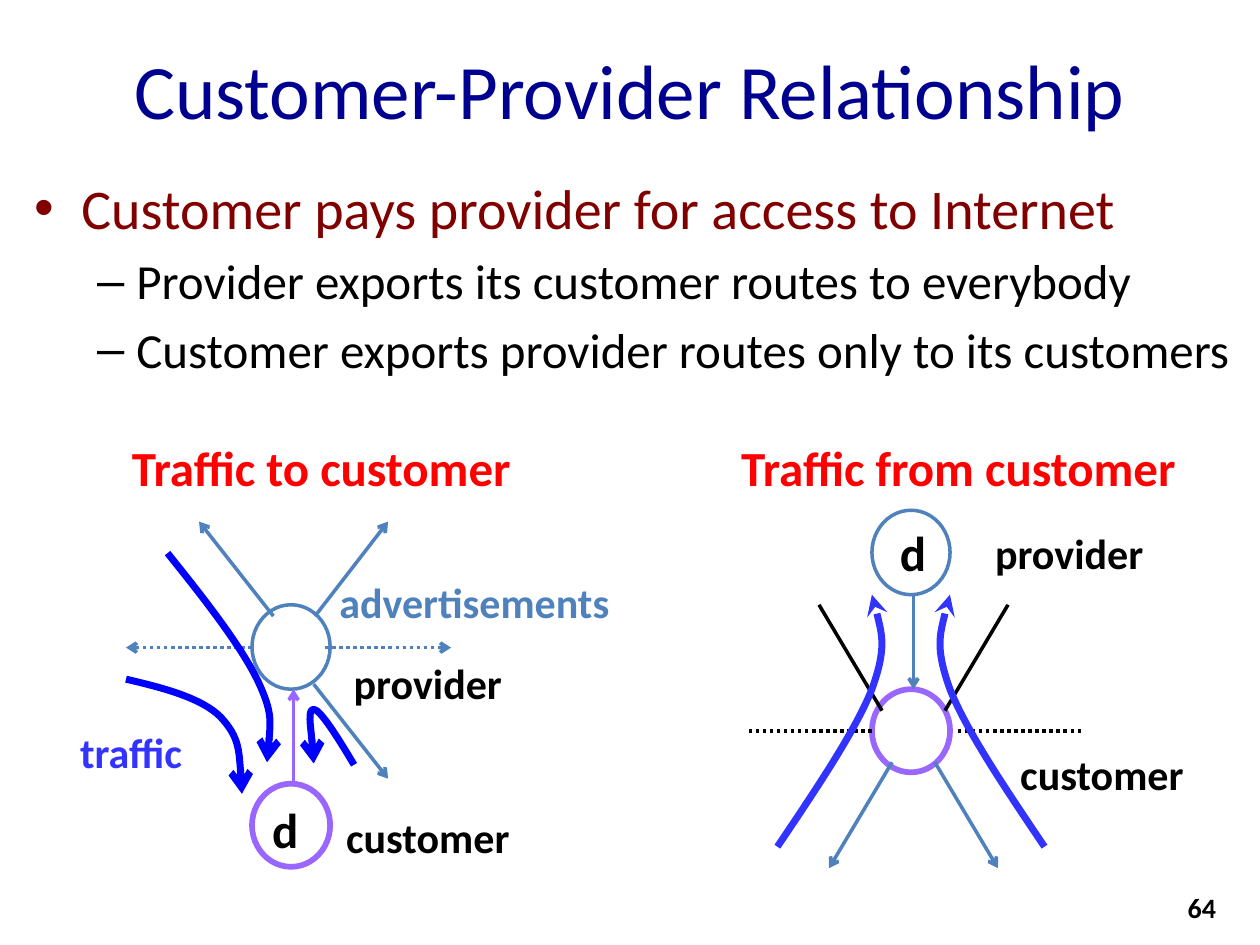
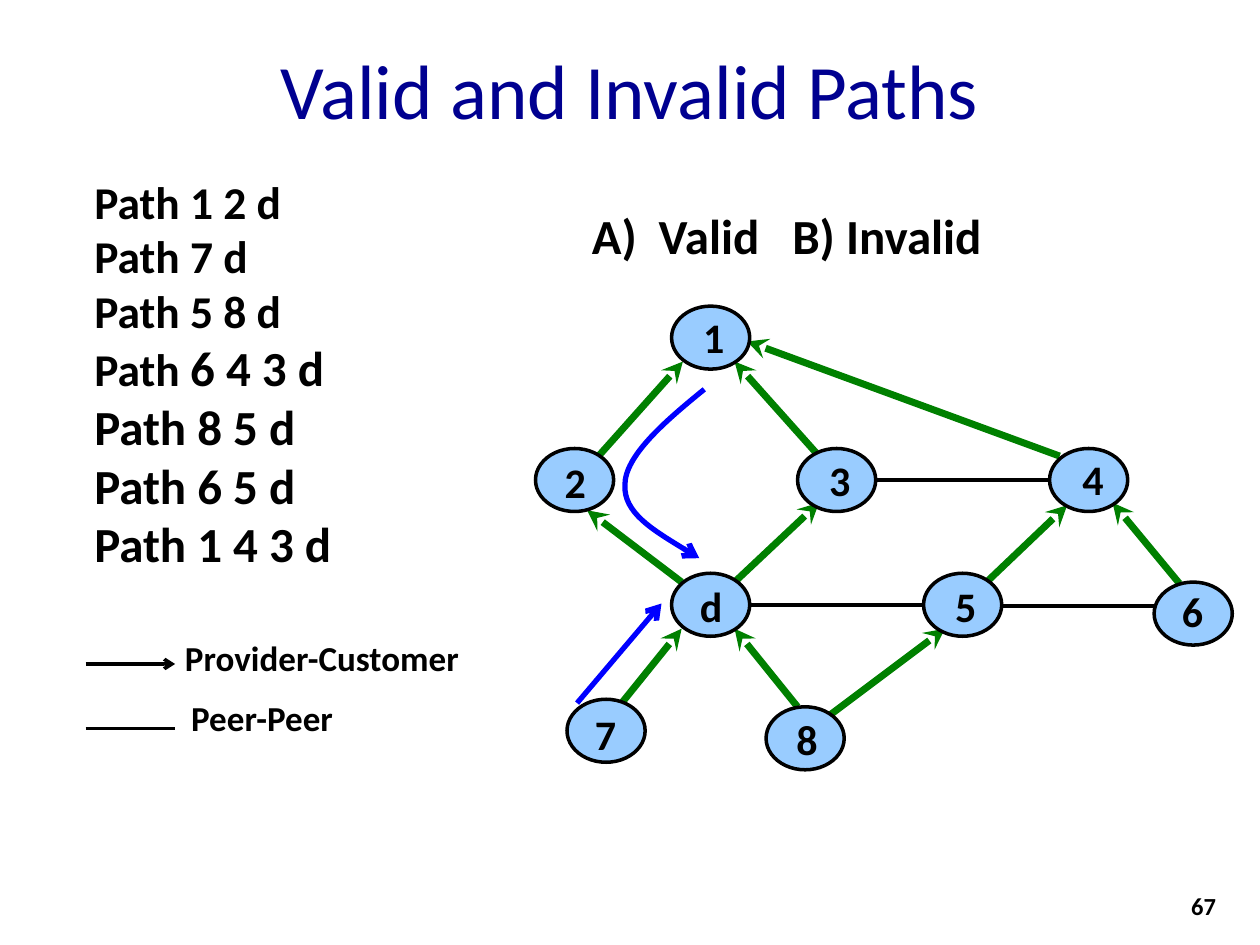
"""Build two slides on customer-provider routing and on valid paths."""
from dataclasses import dataclass

from lxml import etree
from pptx import Presentation
from pptx.dml.color import RGBColor
from pptx.enum.dml import MSO_LINE
from pptx.enum.shapes import MSO_CONNECTOR, MSO_SHAPE
from pptx.enum.text import MSO_AUTO_SIZE, PP_ALIGN
from pptx.oxml.ns import qn
from pptx.util import Pt

PX = 9144
FONT = "Calibri"
NAVY, MAROON, RED, BLACK = "000090", "800000", "FF0000", "000000"
STEEL, PURPLE, BLUE, VIOLET = "4F81BD", "9966FF", "0000FF", "3333FF"
GREEN, SKY = "008000", "99CCFF"
LEFT, CENTER, RIGHT = PP_ALIGN.LEFT, PP_ALIGN.CENTER, PP_ALIGN.RIGHT
DOT = MSO_LINE.ROUND_DOT
OVAL, STRAIGHT = MSO_SHAPE.OVAL, MSO_CONNECTOR.STRAIGHT
NO_FIT = MSO_AUTO_SIZE.NONE


@dataclass
class Link:
    x1: int
    y1: int
    x2: int
    y2: int
    color: str = BLACK
    width: float = 2
    head: str = ""
    dash: object = None


@dataclass
class Curve:
    points: list
    color: str = BLUE
    width: float = 4
    head: str = "arrow"


@dataclass
class Ring:
    x: int
    y: int
    color: str = BLACK
    width: float = 2
    height: int = 66
    fill: str = ""


@dataclass
class Label:
    text: str
    x: int
    y: int
    w: int
    h: int = 51
    size: int = 24
    color: str = BLACK


@dataclass
class Node:
    name: str
    x: int
    y: int
    label_x: int
    label_y: int


def rgb(value):
    return RGBColor.from_string(value)


def place(sp, *box):
    sp.left, sp.top, sp.width, sp.height = (v * PX for v in box)


def add_run(p, text, size, color=BLACK, bold=True):
    r = p.add_run()
    r.text = text
    r.font.name, r.font.size, r.font.bold = FONT, Pt(size), bold
    r.font.color.rgb = rgb(color)


def add_text(slide, lines, box, size=24, color=BLACK, align=CENTER, wrap=False, tabs=()):
    """Add a box of bold lines; a line is a string or a list of (text, size) runs."""
    sp = slide.shapes.add_textbox(*(v * PX for v in box))
    tf = sp.text_frame
    tf.word_wrap, tf.auto_size = wrap, NO_FIT
    for i, line in enumerate(lines):
        p = tf.add_paragraph() if i else tf.paragraphs[0]
        p.alignment = align
        if tabs:
            tab_list = etree.SubElement(p._p.get_or_add_pPr(), qn("a:tabLst"))
            for pos in tabs:
                etree.SubElement(tab_list, qn("a:tab"), pos=str(pos * PX), algn="l")
        for text, run_size in [(line, size)] if isinstance(line, str) else line:
            add_run(p, text, run_size, color)


def add_label(slide, label: Label):
    add_text(slide, [label.text], (label.x, label.y, label.w, label.h), label.size, label.color)


def style_line(sp, color, width, head="", dash=None):
    sp.line.color.rgb = rgb(color)
    sp.line.width = Pt(width)
    if dash is not None:
        sp.line.dash_style = dash
    if head:
        etree.SubElement(sp.line._get_or_add_ln(), qn("a:tailEnd"), type=head)


def add_link(slide, link: Link):
    ends = (v * PX for v in (link.x1, link.y1, link.x2, link.y2))
    sp = slide.shapes.add_connector(STRAIGHT, *ends)
    style_line(sp, link.color, link.width, link.head, link.dash)
    etree.SubElement(sp._element.spPr, qn("a:effectLst"))


def add_curve(slide, curve: Curve):
    """Draw a start point and triples of Bezier points as an open outline."""
    start, *rest = curve.points
    builder = slide.shapes.build_freeform(*start, scale=PX)
    builder.add_line_segments(rest, close=False)
    sp = builder.convert_to_shape()
    path = next(sp._element.iter(qn("a:path")))
    steps = path.findall(qn("a:lnTo"))
    for i in range(0, len(steps), 3):
        bezier = etree.SubElement(path, qn("a:cubicBezTo"))
        for step in steps[i:i + 3]:
            bezier.append(step[0])
            path.remove(step)
    sp.fill.background()
    style_line(sp, curve.color, curve.width, curve.head)
    sp.shadow.inherit = False


def add_ring(slide, ring: Ring):
    sp = slide.shapes.add_shape(OVAL, *(v * PX for v in (ring.x, ring.y, 62, ring.height)))
    if ring.fill:
        sp.fill.solid()
        sp.fill.fore_color.rgb = rgb(ring.fill)
    else:
        sp.fill.background()
    style_line(sp, ring.color, ring.width)
    sp.shadow.inherit = False


def add_slide(prs, layout, title, number, number_size):
    slide = prs.slides.add_slide(prs.slide_layouts[layout])
    sp = slide.shapes.title
    place(sp, 50, 8, 900, 125)
    sp.text_frame.auto_size = NO_FIT
    add_run(sp.text_frame.paragraphs[0], title, 44, NAVY, False)
    add_text(slide, [number], (742, 702, 233, 40), number_size, align=RIGHT, wrap=True)
    return slide


def build_relationship(prs):
    slide = add_slide(prs, 1, "Customer-Provider Relationship", "64", 16)
    body = slide.placeholders[1]
    place(body, 17, 133, 975, 208)
    tf = body.text_frame
    tf.auto_size = NO_FIT
    bullets = [
        (0, "Customer pays provider for access to Internet", 32, MAROON),
        (1, "Provider exports its customer routes to everybody", 28, BLACK),
        (1, "Customer exports provider routes only to its customers", 28, BLACK),
    ]
    for i, (level, text, size, color) in enumerate(bullets):
        p = tf.add_paragraph() if i else tf.paragraphs[0]
        p.level = level
        if not i:
            p.space_before = Pt(0)
        add_run(p, text, size, color, False)

    for ring in (
        Ring(692, 405, STEEL, height=67),
        Ring(692, 547, PURPLE, 3.25),
        Ring(200, 622, PURPLE, 3.25),
        Ring(200, 480, STEEL, height=67),
    ):
        add_ring(slide, ring)

    for link in (
        Link(725, 472, 725, 547, STEEL, head="arrow"),
        Link(233, 622, 233, 547, PURPLE, head="arrow"),
        Link(692, 580, 592, 580, dash=DOT),
        Link(858, 580, 758, 580, dash=DOT),
        Link(650, 480, 700, 564),
        Link(800, 480, 750, 564),
        Link(708, 605, 658, 689, STEEL, head="arrow"),
        Link(742, 605, 792, 689, STEEL, head="arrow"),
        Link(258, 514, 358, 514, STEEL, head="arrow", dash=DOT),
        Link(200, 514, 100, 514, STEEL, head="arrow", dash=DOT),
        Link(250, 489, 308, 414, STEEL, head="arrow"),
        Link(217, 489, 158, 414, STEEL, head="arrow"),
        Link(249, 543, 308, 618, STEEL, head="arrow"),
    ):
        add_link(slide, link)

    upward = [(617, 672), (648, 626), (679, 580), (692, 547), (704, 514), (698, 493), (692, 472)]
    mirrored = [(1446 - x, y) for x, y in upward]
    for curve in (
        Curve(upward, VIOLET, head="stealth"),
        Curve(mirrored, VIOLET, head="stealth"),
        Curve([(133, 439), (162, 475), (190, 511), (204, 539), (217, 566), (214, 586), (212, 605)]),
        Curve([(100, 539), (130, 546), (160, 554), (175, 569), (190, 585), (191, 607), (192, 630)]),
        Curve([(281, 607), (268, 585), (254, 563), (249, 563), (244, 563), (249, 599), (249, 606)]),
    ):
        add_curve(slide, curve)

    for label in (
        Label("d", 704, 410, 41, 57, 28),
        Label("d", 206, 630, 41, 57, 28),
        Label("provider", 779, 414, 139),
        Label("customer", 799, 589, 151),
        Label("customer", 264, 639, 151),
        Label("provider", 270, 517, 139),
        Label("Traffic to customer", 93, 342, 324, 57, 28, RED),
        Label("Traffic from customer", 576, 342, 369, 57, 28, RED),
        Label("advertisements", 258, 453, 237, color=STEEL),
        Label("traffic", 25, 572, 158, color=VIOLET),
    ):
        add_label(slide, label)


def build_paths(prs):
    slide = add_slide(prs, 5, "Valid and Invalid Paths", "67", 14)
    to_provider = [
        (650, 362, 583, 287), (541, 462, 466, 405), (583, 462, 650, 399),
        (783, 462, 847, 401), (633, 561, 583, 499), (491, 561, 541, 499),
        (841, 362, 593, 271), (475, 362, 542, 287), (658, 568, 750, 499),
        (936, 463, 883, 399),
    ]
    for ends in to_provider:
        add_link(slide, Link(*ends, GREEN, 4, "stealth"))
    for ends in [(833, 381, 695, 381), (733, 480, 596, 480), (916, 481, 794, 481)]:
        add_link(slide, Link(*ends))

    for node in (
        Node("1", 533, 243, 548, 242),
        Node("2", 425, 356, 438, 357),
        Node("3", 633, 356, 648, 356),
        Node("4", 833, 356, 849, 355),
        Node("d", 533, 455, 546, 456),
        Node("5", 733, 455, 748, 456),
        Node("6", 916, 462, 928, 460),
        Node("7", 450, 555, 462, 557),
        Node("8", 608, 561, 622, 561),
    ):
        add_ring(slide, Ring(node.x, node.y, height=50, fill=SKY))
        add_label(slide, Label(node.name, node.label_x, node.label_y, 37))

    add_link(slide, Link(68, 527, 139, 527, head="arrow"))
    add_link(slide, Link(68, 578, 139, 578))
    add_label(slide, Label("Provider-Customer", 136, 500, 239, 44, 20))
    add_label(slide, Label("Peer-Peer", 141, 548, 134, 44, 20))

    small = ["Path 1 2 d", "Path 7 d", "Path 5 8 d"]
    large = ["Path 8 5 d", "Path 6 5 d", "Path 1 4 3 d"]
    lines = small + [[("Path ", 26), ("6 4 3 d", 28)]] + [[(t, 28)] for t in large]
    add_text(slide, lines, (65, 133, 240, 374), 26, align=LEFT, wrap=True)
    add_text(slide, ["A)\tValid\tB) Invalid"], (460, 158, 350, 57), 28,
             align=LEFT, wrap=True, tabs=(53, 159))

    route = [(559, 309), (527, 335), (496, 362), (496, 385), (495, 407), (525, 425), (555, 443)]
    add_curve(slide, Curve(route, width=3))
    add_link(slide, Link(458, 558, 525, 479, BLUE, 3, "arrow"))


def main():
    prs = Presentation()
    prs.slide_width, prs.slide_height = 1000 * PX, 750 * PX
    build_relationship(prs)
    build_paths(prs)
    prs.save("out.pptx")


if __name__ == "__main__":
    main()
